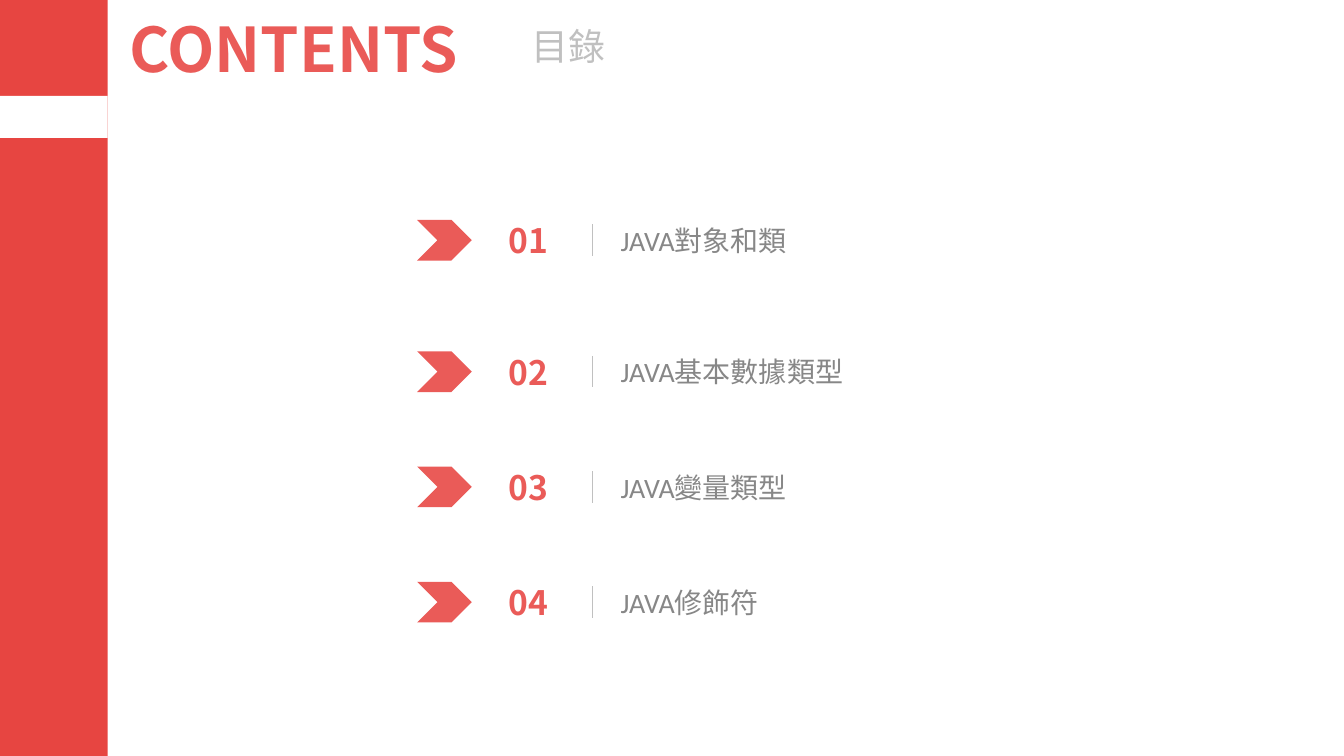
from lxml import etree
from pptx import Presentation
from pptx.dml.color import RGBColor
from pptx.enum.shapes import MSO_CONNECTOR, MSO_SHAPE
from pptx.enum.text import MSO_ANCHOR, MSO_AUTO_SIZE, PP_ALIGN
from pptx.oxml.ns import qn
from pptx.util import Pt

TITLE = "CONTENTS"
SUBTITLE = "目錄"
# number, topic, vertical centre of the row
ENTRIES = [
    ("01", "JAVA對象和類", 171.6),
    ("02", "JAVA基本數據類型", 265.5),
    ("03", "JAVA變量類型", 347.8),
    ("04", "JAVA修飾符", 430.1),
]

SIDEBAR_RED = RGBColor(0xE7, 0x45, 0x41)
ACCENT_RED = RGBColor(0xEA, 0x5B, 0x58)
LIGHT_GRAY = RGBColor(0xC0, 0xC0, 0xC0)
TEXT_GRAY = RGBColor(0x87, 0x87, 0x87)
WHITE = RGBColor(0xFF, 0xFF, 0xFF)
CJK_FONT = "Noto Sans CJK SC"
LATIN_FONT = "Calibri"

LEFT, CENTER = PP_ALIGN.LEFT, PP_ALIGN.CENTER
MIDDLE = MSO_ANCHOR.MIDDLE
NO_AUTOFIT = MSO_AUTO_SIZE.NONE
RECTANGLE, CHEVRON = MSO_SHAPE.RECTANGLE, MSO_SHAPE.CHEVRON
STRAIGHT = MSO_CONNECTOR.STRAIGHT

SLIDE_WIDTH, SLIDE_HEIGHT = 960, 540
SIDEBAR_WIDTH = 77
CHEVRON_HEIGHT, DIVIDER_HEIGHT, ROW_HEIGHT = 29, 22.6, 57


def add_filled(slide, kind, left, top, width, height, color):
    shape = slide.shapes.add_shape(kind, Pt(left), Pt(top), Pt(width), Pt(height))
    shape.shadow.inherit = False
    shape.fill.solid()
    shape.fill.fore_color.rgb = color
    shape.line.fill.background()


def write_text(box, text, size, color, font=CJK_FONT, bold=False, align=LEFT):
    frame = box.text_frame
    frame.word_wrap = True
    frame.auto_size = NO_AUTOFIT
    frame.vertical_anchor = MIDDLE
    para = frame.paragraphs[0]
    para.alignment = align
    span = para.add_run()
    span.text = text
    span.font.name = font
    span.font.size = Pt(size)
    span.font.bold = bold
    span.font.color.rgb = color
    # Chinese characters take their face from the East Asian font
    etree.SubElement(span.font._element, qn("a:ea"), typeface=CJK_FONT)


def add_text(slide, left, top, width, height, *args, **style):
    box = slide.shapes.add_textbox(Pt(left), Pt(top), Pt(width), Pt(height))
    write_text(box, *args, **style)


def add_divider(slide, x, middle):
    top, bottom = middle - DIVIDER_HEIGHT / 2, middle + DIVIDER_HEIGHT / 2
    divider = slide.shapes.add_connector(STRAIGHT, Pt(x), Pt(top), Pt(x), Pt(bottom))
    divider.line.color.rgb = LIGHT_GRAY
    divider.line.width = Pt(0.5)
    etree.SubElement(divider._element.spPr, qn("a:effectLst"))


def add_entry(slide, number, topic, middle):
    row_top = middle - ROW_HEIGHT / 2
    add_filled(slide, CHEVRON, 298, middle - CHEVRON_HEIGHT / 2, 39,
               CHEVRON_HEIGHT, ACCENT_RED)
    add_text(slide, 337, row_top, 80.5, ROW_HEIGHT, number, 24, ACCENT_RED,
             bold=True, align=CENTER)
    add_divider(slide, 423.2, middle)
    add_text(slide, 436.2, row_top, 421, ROW_HEIGHT, topic, 20, TEXT_GRAY,
             font=LATIN_FONT)


def main():
    deck = Presentation()
    deck.slide_width, deck.slide_height = Pt(SLIDE_WIDTH), Pt(SLIDE_HEIGHT)
    page = deck.slides.add_slide(deck.slide_layouts[5])

    add_filled(page, RECTANGLE, 0, -2, SIDEBAR_WIDTH, SLIDE_HEIGHT + 2, SIDEBAR_RED)
    add_filled(page, RECTANGLE, 0, 68.4, SIDEBAR_WIDTH, 30.2, WHITE)

    title = page.shapes.title
    title.left, title.top, title.width, title.height = Pt(85), Pt(3.6), Pt(351), Pt(60.5)
    write_text(title, TITLE, 44, ACCENT_RED, bold=True)
    add_text(page, 350, 12.2, 111.6, 41, SUBTITLE, 26.4, LIGHT_GRAY, align=CENTER)

    for number, topic, middle in ENTRIES:
        add_entry(page, number, topic, middle)

    deck.save("out.pptx")


if __name__ == "__main__":
    main()
